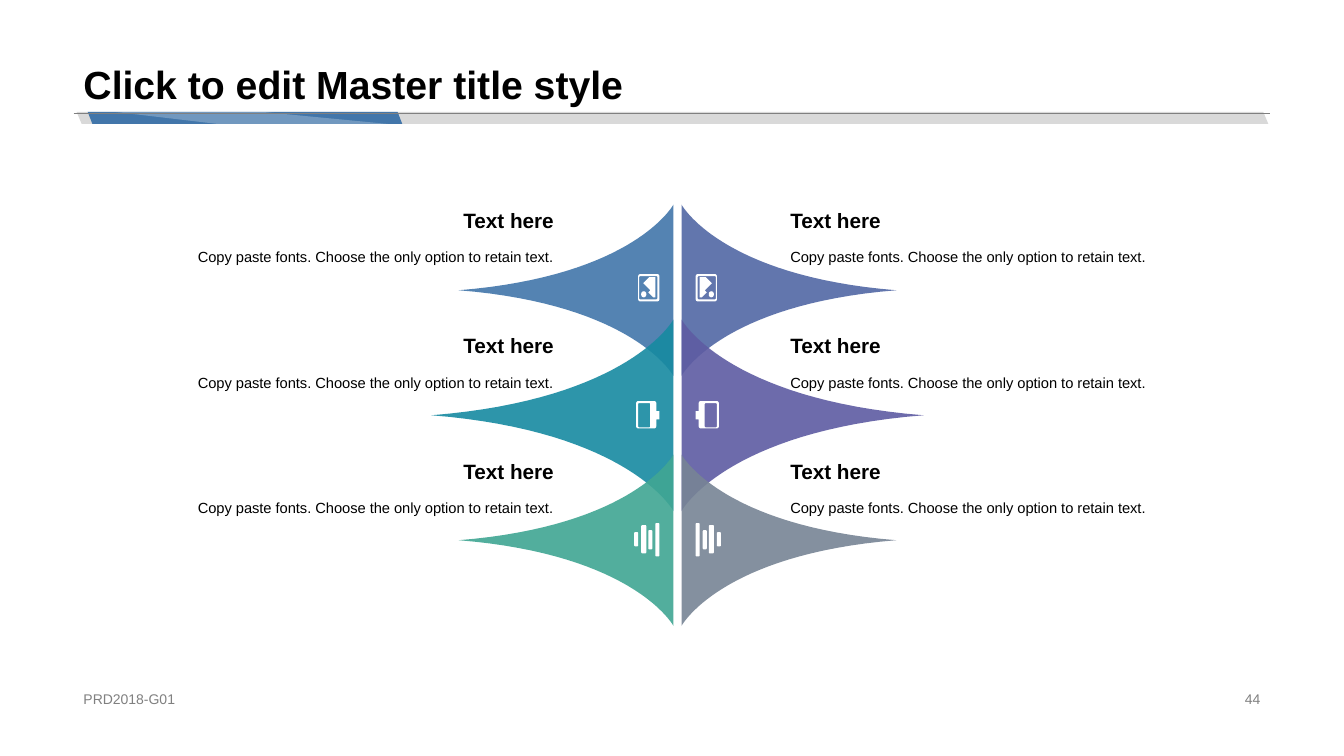
"""Build a slide of six mirrored petals with icons, headings and captions."""
import math

from lxml import etree
from pptx import Presentation
from pptx.dml.color import RGBColor
from pptx.enum import shapes, text
from pptx.oxml import ns
from pptx.util import Inches, Pt


class Theme:
    font = "Arial"
    black, white, grey, pale = "000000", "FFFFFF", "808080", "D9D9D9"
    blue = "4276AA"
    left_petals = (blue, "178AA1", "40A693")
    right_petals = ("5268A5", "5E5CA2", "778495")
    title, heading, caption, footer = 28, 14.8, 10.5, 10


def add_text(wording, left, top, width, height, *, size, color=Theme.black,
             bold=False, align=text.PP_ALIGN.LEFT,
             anchor=text.MSO_ANCHOR.MIDDLE, spacing=1.0):
    frame = slide.shapes.add_textbox(
        Inches(left), Inches(top), Inches(width), Inches(height)).text_frame
    frame.word_wrap = True
    frame.vertical_anchor = anchor
    paragraph = frame.paragraphs[0]
    paragraph.alignment = align
    paragraph.line_spacing = spacing
    run = paragraph.add_run()
    run.text = wording
    run.font.name = Theme.font
    run.font.size = Pt(size)
    run.font.bold = bold
    run.font.color.rgb = RGBColor.from_string(color)


def add_outline(contours, color, opacity=100):
    contours = [[(Inches(x), Inches(y)) for x, y in contour] for contour in contours]
    builder = slide.shapes.build_freeform(*contours[0][0], scale=1.0)
    for index, contour in enumerate(contours):
        if index:
            builder.move_to(*contour[0])
        builder.add_line_segments(contour[1:], close=True)
    outline = builder.convert_to_shape()
    outline.shadow.inherit = False
    outline.line.fill.background()
    outline.fill.solid()
    outline.fill.fore_color.rgb = RGBColor.from_string(color)
    if opacity < 100:
        fill_color = outline._element.spPr.find(".//" + ns.qn("a:srgbClr"))
        etree.SubElement(fill_color, ns.qn("a:alpha"), val=str(opacity * 1000))


deck = Presentation()
deck.slide_width, deck.slide_height = Inches(13.33), Inches(7.5)
slide = deck.slides.add_slide(deck.slide_layouts[6])

for left, width, slant, color in ((0.76, 11.82, 0.42, Theme.pale),
                                  (0.87, 3.12, 0.39, Theme.blue)):
    band = slide.shapes.add_shape(
        shapes.MSO_SHAPE.PARALLELOGRAM,
        Inches(left), Inches(1.11), Inches(width), Inches(0.12))
    band.adjustments[0] = slant
    band._element.spPr.find(ns.qn("a:xfrm")).set("flipH", "1")
    band.shadow.inherit = False
    band.line.fill.background()
    band.fill.solid()
    band.fill.fore_color.rgb = RGBColor.from_string(color)

add_outline([[(3.85, 1.23), (2.6, 1.11), (1.14, 1.11), (2.16, 1.23)]], Theme.white, 25)

title_rule = slide.shapes.add_connector(
    shapes.MSO_CONNECTOR.STRAIGHT,
    Inches(0.73), Inches(1.12), Inches(12.6), Inches(1.12))
title_rule.line.color.rgb = RGBColor.from_string(Theme.grey)
title_rule.line.width = Pt(0.25)
etree.SubElement(title_rule._element.spPr, ns.qn("a:effectLst"))

add_text("Click to edit Master title style", 0.73, 0, 11.87, 1.12,
         size=Theme.title, bold=True, anchor=text.MSO_ANCHOR.BOTTOM, spacing=0.9)
add_text("PRD2018-G01", 0.73, 6.82, 4.53, 0.23, size=Theme.footer, color=Theme.grey)
add_text("44", 9.42, 6.82, 3.18, 0.23, size=Theme.footer, color=Theme.grey,
         align=text.PP_ALIGN.RIGHT)

center, gap = 6.72, 0.04
first_axis, row_pitch = 2.88, 1.24
petal_sizes = ((2.13, 0.85), (2.4, 0.95), (2.13, 0.85))

# Rounded boxes: near, top, far, bottom, radius; measured from center and row axis.
icon_boxes = (
    ((0.18, -0.16, 0.39, 0.11, 0.02), (0.2, -0.14, 0.38, 0.09, 0.01),
     (0.31, 0.01, 0.36, 0.07, 0.025)),
    ((0.21, -0.14, 0.41, 0.13, 0.02), (0.27, -0.12, 0.39, 0.12, 0.01),
     (0.18, -0.04, 0.21, 0.04, 0)),
    ((0.18, -0.17, 0.22, 0.16, 0.01), (0.25, -0.1, 0.29, 0.09, 0.01),
     (0.31, -0.15, 0.36, 0.13, 0.01), (0.39, -0.08, 0.43, 0.06, 0.01)),
)
pointer = [(0.22, -0.13), (0.22, 0.07), (0.24, 0.07), (0.29, 0.02),
           (0.27, 0), (0.34, -0.07), (0.28, -0.13)]
icons = []
for boxes in icon_boxes:
    contours = []
    for near, top, far, bottom, radius in boxes:
        corners = ((far - radius, bottom - radius), (near + radius, bottom - radius),
                   (near + radius, top + radius), (far - radius, top + radius))
        contours.append([
            (x + radius * math.cos(math.radians(90 * quarter + 22.5 * step)),
             y + radius * math.sin(math.radians(90 * quarter + 22.5 * step)))
            for quarter, (x, y) in enumerate(corners) for step in range(5)])
    icons.append(contours)
icons[0].append(pointer)

for side, petal_colors in ((-1, Theme.left_petals), (1, Theme.right_petals)):
    for row, (length, reach) in enumerate(petal_sizes):
        axis = first_axis + row * row_pitch
        upper_edge = []
        for step in range(33):
            t = step / 32
            base, pull, tip = (1 - t) ** 2 * (1 + 2 * t), 3 * (1 - t) * t ** 2, t ** 3
            upper_edge.append((gap + length * (0.18 * pull + tip),
                               -reach * (base + 0.165 * pull)))
        lower_edge = [(x, -y) for x, y in reversed(upper_edge[:-1])]
        for contours, color, opacity in (
                ([upper_edge + lower_edge], petal_colors[row], 90),
                (icons[row], Theme.white, 100)):
            add_outline([[(center + side * x, axis + y) for x, y in contour]
                         for contour in contours], color, opacity)

for left, align in ((7.74, text.PP_ALIGN.LEFT), (0.97, text.PP_ALIGN.RIGHT)):
    for row in range(3):
        top = 2.02 + row * 1.245
        add_text("Text here", left, top, 4.62, 0.32,
                 size=Theme.heading, bold=True, align=align)
        add_text("Copy paste fonts. Choose the only option to retain text.",
                 left, top + 0.32, 4.62, 0.38,
                 size=Theme.caption, align=align, spacing=1.2)

deck.save("out.pptx")
